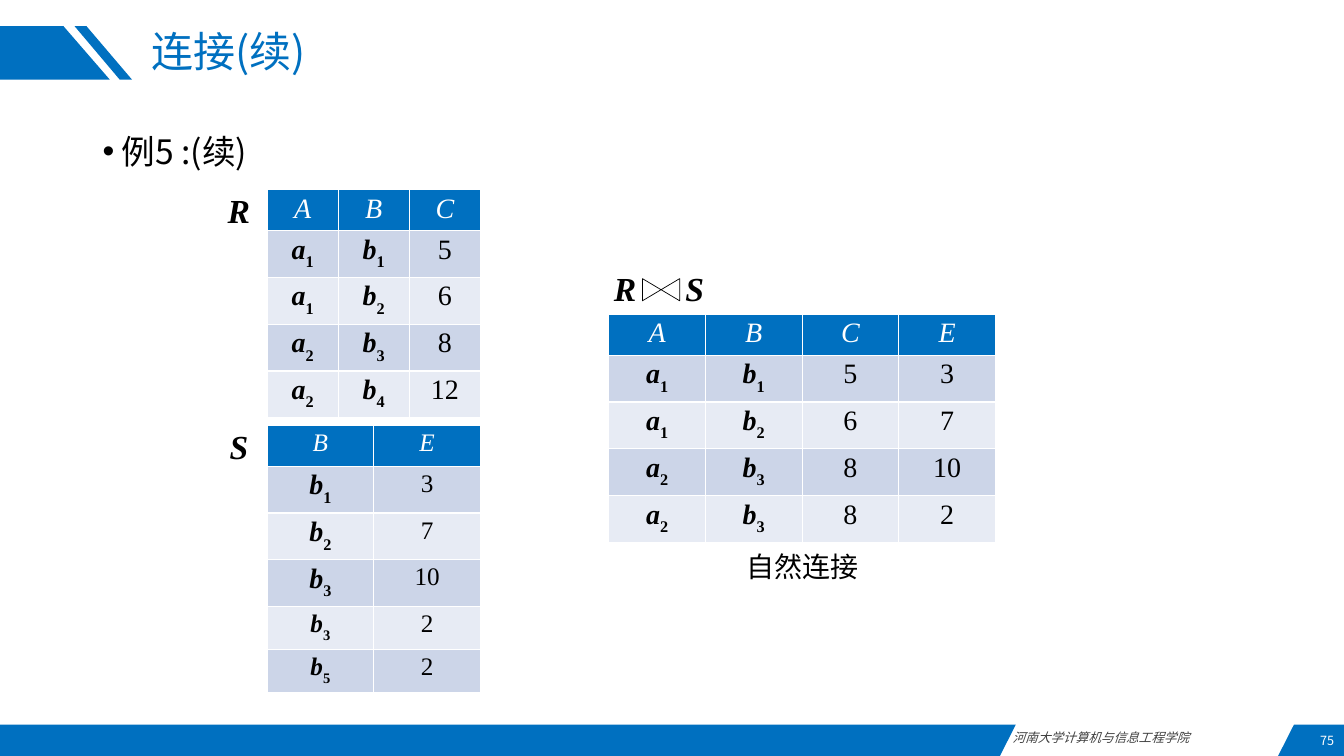
from collections import namedtuple

from lxml.etree import SubElement
from pptx import Presentation
from pptx.dml.color import RGBColor
from pptx.enum.shapes import MSO_SHAPE as Shape
from pptx.enum.text import MSO_ANCHOR as Anchor, PP_ALIGN as Align
from pptx.oxml.ns import qn
from pptx.util import Cm, Pt

BLUE = RGBColor(0x00, 0x70, 0xC0)
WHITE = RGBColor(0xFF, 0xFF, 0xFF)
BLACK = RGBColor(0x00, 0x00, 0x00)
GRAY = RGBColor(0x40, 0x40, 0x40)
BANDS = (RGBColor(0xE7, 0xEB, 0xF4), RGBColor(0xCC, 0xD5, 0xE8))
CJK = "Noto Sans CJK SC"
SERIF = "Times New Roman"
ROW_HEIGHT = 1.03
CELL_MARGIN = 0.09

Box = namedtuple("Box", "left top width height")


def add_span(para, text, size, color, name=CJK, bold=False, italic=False, baseline=0):
    span = para.add_run()
    span.text = text
    style = {"size": Pt(size), "name": name, "bold": bold, "italic": italic}
    for attribute, value in style.items():
        setattr(span.font, attribute, value)
    span.font.color.rgb = color
    properties = span._r.get_or_add_rPr()
    SubElement(properties, qn("a:ea")).set("typeface", name)
    if baseline:
        properties.set("baseline", str(baseline))


def add_text(page, box, text, size, color, align=Align.LEFT, anchor=Anchor.TOP,
             wrap=True, **style):
    frame = page.shapes.add_textbox(*map(Cm, box)).text_frame
    frame.word_wrap = wrap
    frame.vertical_anchor = anchor
    para = frame.paragraphs[0]
    para.alignment = align
    add_span(para, text, size, color, **style)
    return frame


def add_symbol(page, box, text):
    return add_text(page, box, text, 24, BLACK, Align.CENTER, Anchor.MIDDLE,
                    wrap=False, name=SERIF, bold=True, italic=True)


def add_outline(page, box, points):
    corners = [(Cm(box.left + x), Cm(box.top + y)) for x, y in points]
    builder = page.shapes.build_freeform(*corners[0], scale=1.0)
    builder.add_line_segments(corners[1:], close=True)
    outline = builder.convert_to_shape()
    outline.shadow.inherit = False
    outline.fill.solid()
    outline.fill.fore_color.rgb = BLUE
    outline.line.fill.background()


def add_header(page, box, title):
    bottom = box.height
    add_outline(page, box, [(0, 0), (1.6, 0), (2.77, bottom), (0, bottom)])
    add_outline(page, box, [(1.88, 0), (2.18, 0), (3.33, bottom), (3.02, bottom)])
    title_box = Box(box.left + 3.56, box.top, 26.54, 1.42)
    frame = add_text(page, title_box, title, 30, BLUE, anchor=Anchor.MIDDLE)
    frame.paragraphs[0].line_spacing = 0.9


def add_footer(page, box, school, number):
    bottom, right = box.height, box.width
    add_outline(page, box, [(0, 0), (25.6, 0), (25.2, bottom), (0, bottom)])
    add_outline(page, box, [(32.61, 0), (right, 0), (right, bottom), (32.21, bottom)])
    add_text(page, Box(box.left + 25.27, box.top, 6.93, 0.64), school, 9, GRAY,
             Align.JUSTIFY, italic=True)
    add_text(page, Box(box.left + right - 3.53, box.top + 0.03, 3.53, 0.76), number,
             9, WHITE, Align.RIGHT, Anchor.MIDDLE)


def add_bullet(page, box, text):
    frame = add_text(page, box, text, 24, BLACK)
    properties = frame.paragraphs[0]._p.get_or_add_pPr()
    properties.set("marL", str(Cm(0.48)))
    properties.set("indent", str(Cm(-0.48)))
    SubElement(properties, qn("a:buFont")).set("typeface", "Arial")
    SubElement(properties, qn("a:buChar")).set("char", "•")


def set_borders(cell):
    properties = cell._tc.get_or_add_tcPr()
    for side in "LRTB":
        border = SubElement(properties, qn(f"a:ln{side}"), w=str(Pt(1)))
        fill = SubElement(border, qn("a:solidFill"))
        SubElement(fill, qn("a:srgbClr")).set("val", str(WHITE))


def add_relation(page, box, rows, value_size, symbol_sizes):
    grid = [row.split() for row in rows]
    columns = len(grid[0])
    table = page.shapes.add_table(len(grid), columns, *map(Cm, box)).table
    for column in table.columns:
        column.width = Cm(box.width / columns)
    for index, (values, symbol_size) in enumerate(zip(grid, symbol_sizes)):
        table.rows[index].height = Cm(ROW_HEIGHT)
        for column, value in enumerate(values):
            cell = table.cell(index, column)
            set_borders(cell)
            cell.margin_top = cell.margin_bottom = Cm(CELL_MARGIN)
            cell.fill.solid()
            cell.fill.fore_color.rgb = BANDS[index % 2] if index else BLUE
            para = cell.text_frame.paragraphs[0]
            para.alignment = Align.CENTER
            if index == 0:
                add_span(para, value, value_size, WHITE, SERIF, italic=True)
            elif value.isdigit():
                add_span(para, value, value_size, BLACK, SERIF)
            else:
                add_span(para, value[0], symbol_size, BLACK, SERIF, True, True)
                add_span(para, value[1:], symbol_size, BLACK, SERIF, True,
                         baseline=-30000)


def add_named_relation(page, box, name, rows, value_size, symbol_sizes):
    add_symbol(page, Box(box.left, box.top - 0.18, 1.22, 1.4), name)
    table_box = Box(box.left + 1.32, box.top, box.width - 1.32, box.height)
    add_relation(page, table_box, rows, value_size, symbol_sizes)


def add_natural_join(page, box, rows, caption):
    bowtie = page.shapes.add_shape(
        Shape.FLOWCHART_COLLATE, Cm(box.left + 1.04), Cm(box.top - 1.09), Cm(0.56), Cm(0.94))
    bowtie.rotation = 270
    bowtie.shadow.inherit = False
    bowtie.fill.solid()
    bowtie.fill.fore_color.rgb = WHITE
    bowtie.line.color.rgb = BLACK
    bowtie.line.width = Pt(0.5)
    frame = add_text(page, Box(box.left - 0.35, box.top - 1.44, 3.78, 1.85), "R\tS", 24,
                     BLACK, name=SERIF, bold=True, italic=True)
    frame.margin_left, frame.margin_top = Cm(0.48), Cm(0.26)
    tabs = SubElement(frame.paragraphs[0]._p.get_or_add_pPr(), qn("a:tabLst"))
    SubElement(tabs, qn("a:tab"), pos=str(Cm(1.8)), algn="l")
    add_relation(page, box, rows, 20, [20] * len(rows))
    add_text(page, Box(box.left - 0.05, box.top + 5.79, box.width + 0.1, 1.12), caption,
             20, BLACK, Align.CENTER)


def main():
    deck = Presentation()
    deck.slide_width, deck.slide_height = Cm(33.87), Cm(19.05)
    page = deck.slides.add_slide(deck.slide_layouts[6])
    add_header(page, Box(0, 0.66, 33.87, 1.35), "连接(续)")
    add_footer(page, Box(0, 18.26, 33.87, 0.79), "河南大学计算机与信息工程学院", "75")
    add_bullet(page, Box(2.34, 3.18, 29.21, 14.53), "例5 :(续)")
    add_named_relation(page, Box(5.41, 4.78, 6.7, 5.15), "R",
                       ["A B C", "a1 b1 5", "a1 b2 6", "a2 b3 8", "a2 b4 12"],
                       20, [20] * 5)
    add_named_relation(page, Box(5.41, 10.72, 6.7, 6.18), "S",
                       ["B E", "b1 3", "b2 7", "b3 10", "b3 2", "b5 2"],
                       18, [18, 20, 20, 20, 18, 18])
    add_natural_join(page, Box(15.34, 7.92, 9.75, 5.15),
                     ["A B C E", "a1 b1 5 3", "a1 b2 6 7", "a2 b3 8 10", "a2 b3 8 2"],
                     "自然连接")
    deck.save("out.pptx")


if __name__ == "__main__":
    main()
